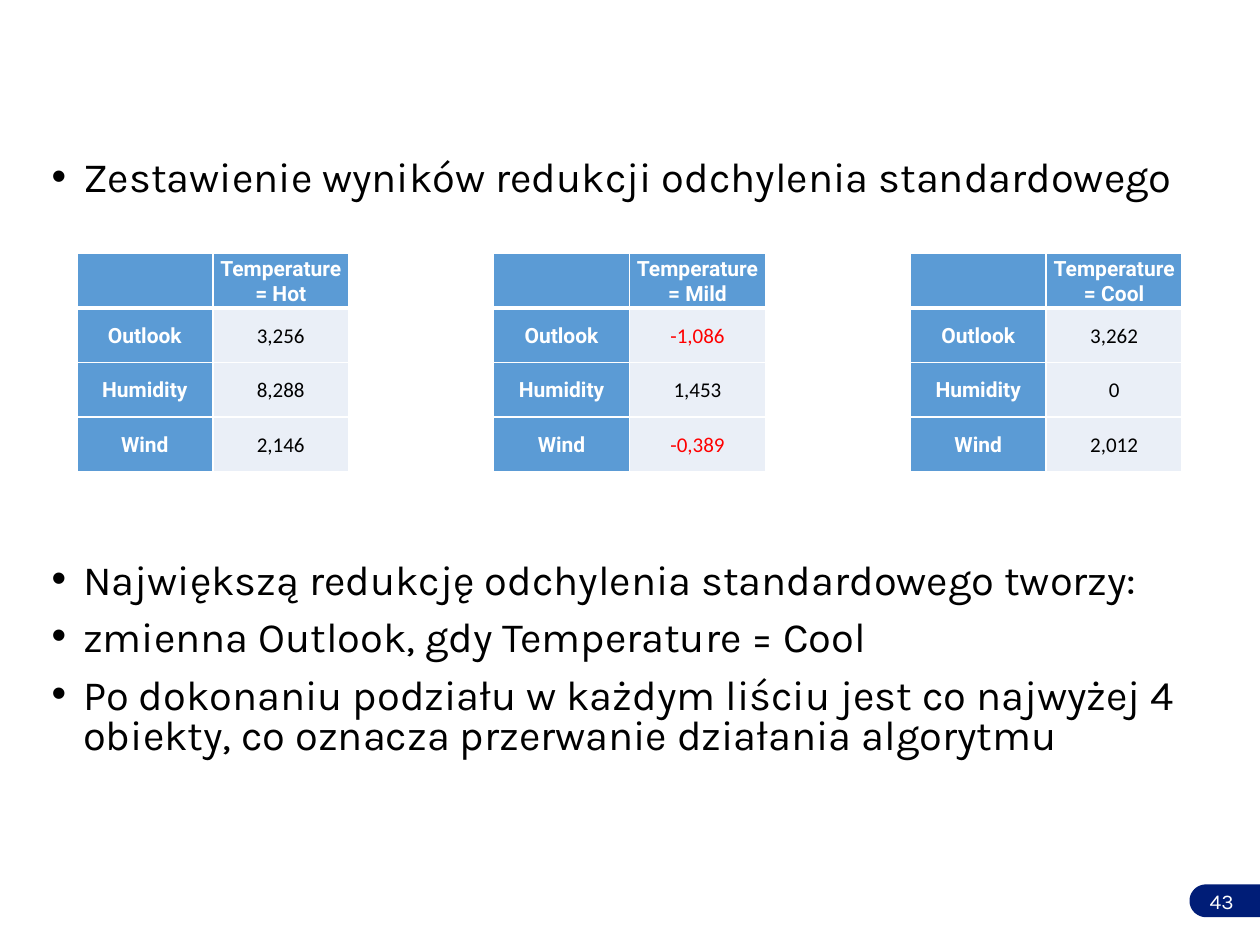
from math import cos, pi, sin

from lxml.etree import SubElement
from pptx import Presentation
from pptx.dml.color import RGBColor
from pptx.enum.text import MSO_ANCHOR as Anchor, PP_ALIGN as Align
from pptx.oxml.ns import qn
from pptx.util import Cm, Pt

NAVY = RGBColor(0x00, 0x1D, 0x77)
BLUE = RGBColor(0x5B, 0x9B, 0xD5)
PALE = RGBColor(0xEA, 0xEF, 0xF7)
RED = RGBColor(0xFF, 0x00, 0x00)
BLACK = RGBColor(0x00, 0x00, 0x00)
WHITE = RGBColor(0xFF, 0xFF, 0xFF)

BULLETS = [
    ("Zestawienie wyników redukcji odchylenia standardowego", 10),
    ("Największą redukcję odchylenia standardowego tworzy:", 207),
    ("zmienna Outlook, gdy Temperature = Cool", 10),
    ("Po dokonaniu podziału w każdym liściu jest co najwyżej 4 obiekty, "
     "co oznacza przerwanie działania algorytmu", 10),
]
VARIABLES = ["Outlook", "Humidity", "Wind"]
REDUCTIONS = {
    "Hot": ["3,256", "8,288", "2,146"],
    "Mild": ["-1,086", "1,453", "-0,389"],
    "Cool": ["3,262", "0", "2,012"],
}


def style_font(font, name, size, color, bold=False):
    font.name = name
    font.size = Pt(size)
    font.color.rgb = color
    font.bold = bold


def add_bullets(slide):
    body = slide.shapes.add_textbox(Cm(0.79), Cm(3.12), Cm(23.32), Cm(14.05))
    frame = body.text_frame
    frame.word_wrap = True
    for index, (wording, gap) in enumerate(BULLETS):
        paragraph = frame.add_paragraph() if index else frame.paragraphs[0]
        paragraph.text = wording
        paragraph.line_spacing = 0.8
        paragraph.space_before = Pt(gap)
        style_font(paragraph.runs[0].font, "Karla", 23.8, BLACK)
        properties = paragraph._p.get_or_add_pPr()
        properties.set("marL", str(Cm(0.64)))
        properties.set("indent", str(-Cm(0.64)))
        SubElement(properties, qn("a:buFont"), typeface="Arial")
        SubElement(properties, qn("a:buChar"), char="•")


def set_borders(cell, bottom_width):
    properties = cell._tc.get_or_add_tcPr()
    widths = {"L": 1, "R": 1, "T": 1, "B": bottom_width}
    for position, (side, width) in enumerate(widths.items()):
        border = SubElement(properties, qn(f"a:ln{side}"), w=str(Pt(width)))
        fill = SubElement(border, qn("a:solidFill"))
        SubElement(fill, qn("a:srgbClr"), val=str(WHITE))
        properties.insert(position, border)


def fill_cell(cell, wording, is_header, bottom_width):
    cell.fill.solid()
    cell.fill.fore_color.rgb = BLUE if is_header else PALE
    cell.vertical_anchor = Anchor.MIDDLE
    cell.margin_left = cell.margin_right = cell.margin_top = Cm(0.03)
    cell.margin_bottom = 0
    cell.text_frame.text = wording
    paragraph = cell.text_frame.paragraphs[0]
    paragraph.alignment = Align.CENTER
    if is_header:
        style_font(paragraph.font, "Roboto", 12, WHITE, True)
    for run in paragraph.runs:
        if is_header:
            style_font(run.font, "Roboto", 12, WHITE, True)
        else:
            color = RED if wording.startswith("-") else BLACK
            style_font(run.font, "Calibri", 12, color)
    set_borders(cell, bottom_width)


def add_reduction_table(slide, left, temperature, values):
    rows = [("", f"Temperature = {temperature}"), *zip(VARIABLES, values)]
    table = slide.shapes.add_table(
        len(rows), 2, left, Cm(5.11), Cm(5.48), Cm(4.4)).table
    for row, wordings in enumerate(rows):
        for column, wording in enumerate(wordings):
            is_header = row == 0 or column == 0
            fill_cell(table.cell(row, column), wording, is_header,
                      1 if row else 3)


def add_page_number(slide):
    top, radius, right = Cm(17.83), Cm(0.33), Cm(25.4)
    center_x, center_y = Cm(24.31), top + radius
    arc = [(center_x - radius * sin(pi * step / 24),
            center_y - radius * cos(pi * step / 24)) for step in range(25)]
    outline = slide.shapes.build_freeform(right, top)
    outline.add_line_segments([*arc, (right, top + 2 * radius)], close=True)
    badge = outline.convert_to_shape()
    badge.shadow.inherit = False
    badge.fill.solid()
    badge.fill.fore_color.rgb = NAVY
    badge.line.fill.background()

    number = slide.shapes.add_textbox(Cm(17.93), Cm(17.65), Cm(7.19), Cm(1.02))
    frame = number.text_frame
    frame.word_wrap = True
    frame.vertical_anchor = Anchor.MIDDLE
    frame.text = "43"
    frame.paragraphs[0].alignment = Align.RIGHT
    style_font(frame.paragraphs[0].runs[0].font, "Karla", 12, WHITE)


def main():
    deck = Presentation()
    deck.slide_width, deck.slide_height = Cm(25.4), Cm(19.05)
    slide = deck.slides.add_slide(deck.slide_layouts[6])
    add_bullets(slide)
    add_page_number(slide)
    for index, (temperature, values) in enumerate(REDUCTIONS.items()):
        add_reduction_table(slide, Cm(1.55 + 8.4 * index), temperature, values)
    deck.save("out.pptx")


if __name__ == "__main__":
    main()
